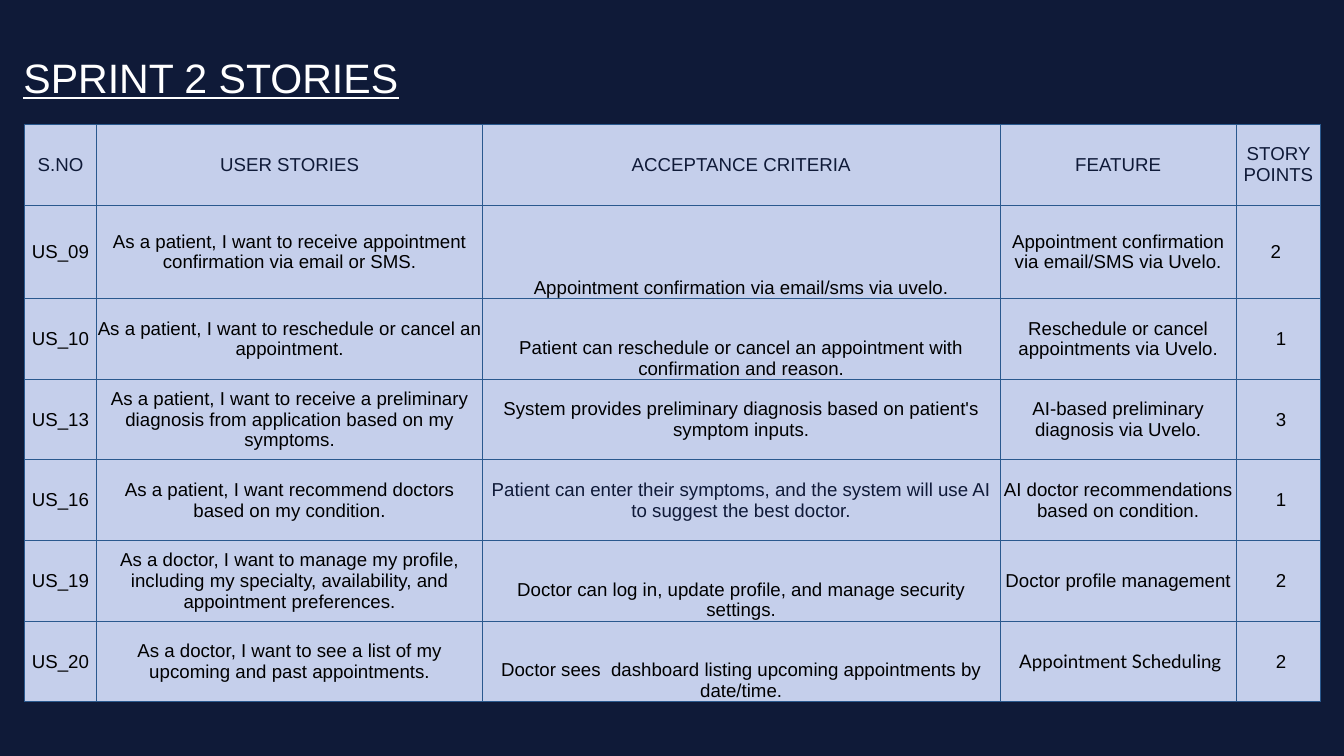
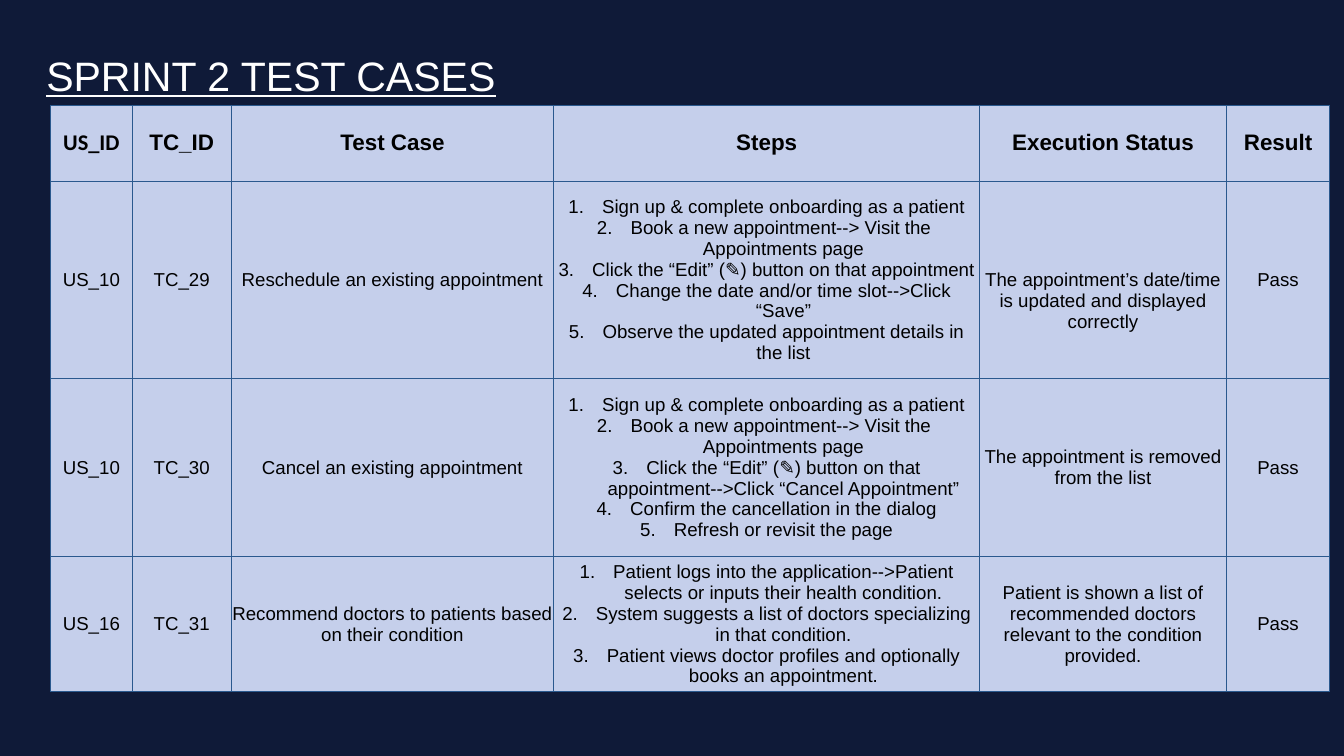
import pptx
import pptx.dml.color
import pptx.enum.text
import pptx.oxml
import pptx.oxml.ns
import pptx.util

RGBColor = pptx.dml.color.RGBColor
ALIGN = pptx.enum.text.PP_ALIGN
ANCHOR = pptx.enum.text.MSO_ANCHOR

NAVY = RGBColor(0x0F, 0x1A, 0x38)
WHITE = RGBColor(0xFF, 0xFF, 0xFF)
BLACK = RGBColor(0x00, 0x00, 0x00)
PALE_BLUE = RGBColor(0xC5, 0xCF, 0xEB)
GRID_BLUE = RGBColor(0x2A, 0x59, 0x8E)

EMU_PER_PX = 9144
STEP_INDENT = 50
GRID_WIDTH = pptx.util.Pt(0.75)


def px(length):
    return pptx.util.Emu(length * EMU_PER_PX)


def element(xml):
    tag, rest = xml.split(" ", 1)
    return pptx.oxml.parse_xml(f"<{tag} {pptx.oxml.ns.nsdecls('a')} {rest}")


def number_step(paragraph):
    properties = paragraph._p.get_or_add_pPr()
    properties.set("marL", str(px(STEP_INDENT)))
    properties.set("indent", str(px(-STEP_INDENT)))
    properties.append(element(f'a:buClr ><a:srgbClr val="{BLACK}"/></a:buClr>'))
    properties.append(element('a:buFont typeface="+mj-lt"/>'))
    properties.append(element('a:buAutoNum type="arabicPeriod"/>'))


def write(frame, text, size=20, font="Arial", color=BLACK, bold=False,
          underline=False, align=ALIGN.CENTER):
    steps = [text] if isinstance(text, str) else text
    for index, step in enumerate(steps):
        paragraph = frame.add_paragraph() if index else frame.paragraphs[0]
        paragraph.alignment = align
        if steps is text:
            number_step(paragraph)
        run = paragraph.add_run()
        run.text = step
        run.font.size = pptx.util.Pt(size)
        run.font.name = font
        run.font.color.rgb = color
        run.font.bold = bold
        run.font.underline = underline


class Deck:
    def __init__(self, width, height):
        self.presentation = pptx.Presentation()
        self.presentation.slide_width = px(width)
        self.presentation.slide_height = px(height)
        self.slide = None

    def add_slide(self):
        blank = self.presentation.slide_layouts[6]
        self.slide = self.presentation.slides.add_slide(blank)
        background = self.slide.background.fill
        background.solid()
        background.fore_color.rgb = NAVY

    def title(self, text, left, top):
        box = self.slide.shapes.add_textbox(px(left), px(top), px(1312), px(161))
        frame = box.text_frame
        frame.word_wrap = True
        frame.vertical_anchor = ANCHOR.MIDDLE
        write(frame, text, size=44, color=WHITE, underline=True, align=ALIGN.LEFT)

    def table(self, left, top, widths, heights, rows, header, formats=None,
              bottom_cells=(), top_insets=None):
        formats, top_insets = formats or {}, top_insets or {}
        table = self.slide.shapes.add_table(
            len(heights), len(widths), px(left), px(top),
            px(sum(widths)), px(sum(heights))).table
        table.first_row = table.horz_banding = False
        for column, width in zip(table.columns, widths):
            column.width = px(width)
        for row, height in zip(table.rows, heights):
            row.height = px(height)
        for r, texts in enumerate(rows):
            for c, text in enumerate(texts):
                place = (r, c)
                cell = table.cell(r, c)
                inset = 1 if r else 0
                self.style_cell(cell, inset, top_insets.get(place, inset))
                bottom = place in bottom_cells
                cell.vertical_anchor = ANCHOR.BOTTOM if bottom else ANCHOR.MIDDLE
                style = {} if r else header
                write(cell.text_frame, text, **{**style, **formats.get(place, {})})

    def style_cell(self, cell, inset, top_inset):
        cell.margin_left = cell.margin_right = px(inset)
        cell.margin_top = px(top_inset)
        cell.margin_bottom = 0
        cell.fill.solid()
        cell.fill.fore_color.rgb = PALE_BLUE
        properties = cell._tc.get_or_add_tcPr()
        for index, side in enumerate("LRTB"):
            properties.insert(index, element(
                f'a:ln{side} w="{GRID_WIDTH}"><a:solidFill>'
                f'<a:srgbClr val="{GRID_BLUE}"/></a:solidFill></a:ln{side}>'))


STORIES = [
    ("S.NO", "USER STORIES", "ACCEPTANCE CRITERIA", "FEATURE", "STORY POINTS"),
    ("US_09",
     "As a patient, I want to receive appointment confirmation via email or SMS.",
     "Appointment confirmation via email/sms via uvelo.",
     "Appointment confirmation via email/SMS via Uvelo.", "2 "),
    ("US_10",
     "As a patient, I want to reschedule or cancel an appointment.",
     "Patient can reschedule or cancel an appointment with confirmation and reason.",
     "Reschedule or cancel appointments via Uvelo.", " 1"),
    ("US_13",
     "As a patient, I want to receive a preliminary diagnosis from application "
     "based on my symptoms.",
     "System provides preliminary diagnosis based on patient's symptom inputs.",
     "AI-based preliminary diagnosis via Uvelo.", " 3"),
    ("US_16",
     "As a patient, I want recommend doctors based on my condition.",
     "Patient can enter their symptoms, and the system will use AI to suggest "
     "the best doctor.",
     "AI doctor recommendations based on condition.", " 1"),
    ("US_19",
     "As a doctor, I want to manage my profile, including my specialty, "
     "availability, and appointment preferences.",
     "Doctor can log in, update profile, and manage security settings.",
     "Doctor profile management", " 2"),
    ("US_20",
     "As a doctor, I want to see a list of my upcoming and past appointments.",
     "Doctor sees  dashboard listing upcoming appointments by date/time.",
     " Appointment Scheduling", " 2"),
]

OPENING_STEPS = [
    "Sign up & complete onboarding as a patient",
    "Book a new appointment--> Visit the  Appointments page",
]

TEST_CASES = [
    ("US_ID", "TC_ID", "Test Case", "Steps", "Execution Status", "Result"),
    ("US_10", "TC_29", "Reschedule an existing appointment",
     OPENING_STEPS + [
         "Click the “Edit” (✎) button on that appointment",
         "Change the date and/or time slot-->Click “Save”",
         "Observe the updated appointment details in the list"],
     "The appointment’s date/time is updated and displayed correctly", "Pass"),
    ("US_10", "TC_30", "Cancel an existing appointment",
     OPENING_STEPS + [
         "Click the “Edit” (✎) button on that appointment-->Click "
         "“Cancel Appointment”",
         "Confirm the cancellation in the dialog",
         "Refresh or revisit the page"],
     "The appointment is removed from the list", "Pass"),
    ("US_16", "TC_31", "Recommend doctors to patients based on their condition",
     ["Patient logs into the application-->Patient selects or inputs their "
      "health condition.",
      "System suggests a list of doctors specializing in that condition.",
      "Patient views doctor profiles and optionally books an appointment."],
     "Patient is shown a list of recommended doctors relevant to the condition "
     "provided.", "Pass"),
]


def main():
    deck = Deck(2000, 1125)

    deck.add_slide()
    deck.title("SPRINT 2 STORIES", 25, 34)
    deck.table(36, 185, [108, 574, 770, 352, 125], [120, 139] + [120] * 5,
               STORIES, header={"color": NAVY},
               formats={(4, 2): {"color": NAVY}, (6, 3): {"font": "Lato"}},
               bottom_cells={(row, 2) for row in (1, 2, 5, 6)})

    deck.add_slide()
    deck.table(75, 156, [122, 147, 480, 634, 367, 154], [114, 293, 265, 186],
               TEST_CASES, header={"size": 24, "bold": True},
               formats={(0, 0): {"size": 24, "font": "Calibri"}},
               top_insets={(1, 4): 63})
    deck.title("SPRINT 2 TEST CASES", 59, 31)

    deck.presentation.save("out.pptx")


if __name__ == "__main__":
    main()
